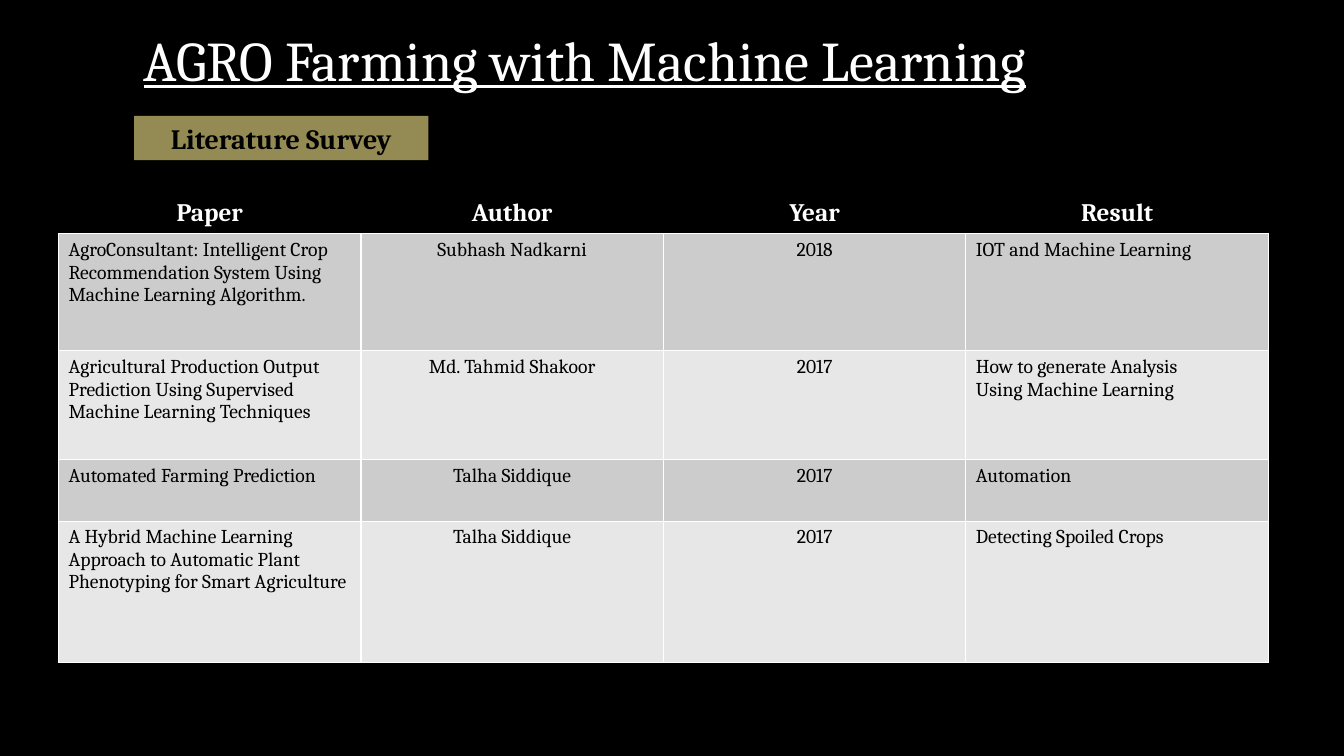
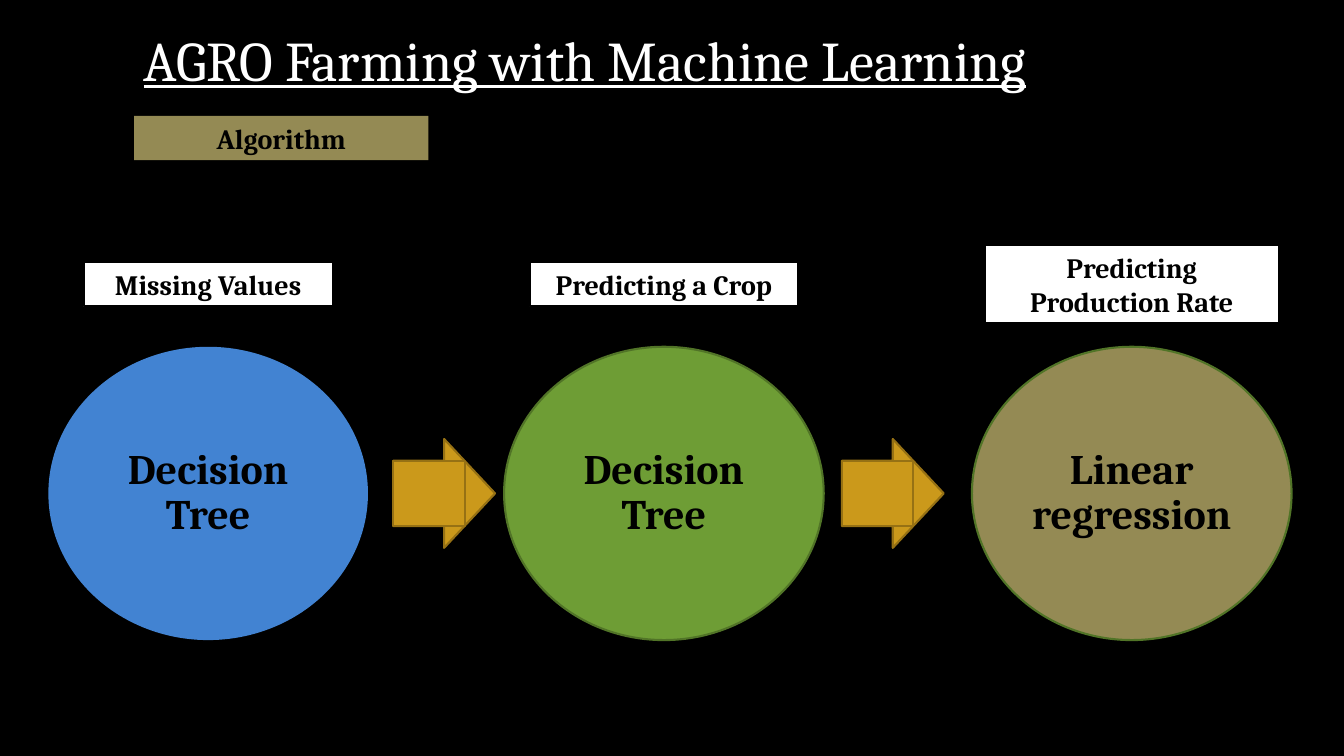
from pptx import Presentation
from pptx.dml.color import RGBColor
from pptx.enum import shapes, text
from pptx.oxml import parse_xml
from pptx.oxml.ns import nsdecls
from pptx.util import Inches, Pt

BLACK = RGBColor(0x00, 0x00, 0x00)
WHITE = RGBColor(0xFF, 0xFF, 0xFF)
KHAKI = RGBColor(0x94, 0x8A, 0x54)
BLUE = RGBColor(0x42, 0x83, 0xD2)
GREEN = RGBColor(0x6E, 0x9D, 0x35)
DARK_GREEN = RGBColor(0x51, 0x74, 0x27)
GOLD = RGBColor(0xCB, 0x99, 0x1B)
DARK_GOLD = RGBColor(0x96, 0x71, 0x14)
ROW_GREYS = RGBColor(0xCC, 0xCC, 0xCC), RGBColor(0xE7, 0xE7, 0xE7)

TITLE_FONT = dict(size=Pt(40), underline=True)
LABEL_FONT = dict(size=Pt(20), bold=True)
CIRCLE_FONT = dict(size=Pt(30), bold=True)
HEADER_FONT = dict(size=Pt(18), bold=True)
BODY_FONT = dict(size=Pt(14), bold=False)

LEFT, CENTER = text.PP_ALIGN.LEFT, text.PP_ALIGN.CENTER
RECT, OVAL = shapes.MSO_SHAPE.RECTANGLE, shapes.MSO_SHAPE.OVAL
ARROW = shapes.MSO_SHAPE.RIGHT_ARROW

DECK_TITLE = "AGRO Farming with Machine Learning"

SURVEY_HEADER = ("Paper", "Author", "Year", "Result")
SURVEY = [
    ("AgroConsultant: Intelligent Crop Recommendation System Using Machine Learning Algorithm.",
     "Subhash Nadkarni", "2018", "IOT and Machine Learning"),
    ("Agricultural Production Output Prediction Using Supervised Machine Learning Techniques",
     "Md. Tahmid Shakoor", "2017", "How to generate Analysis\nUsing Machine Learning"),
    ("Automated Farming Prediction", "Talha Siddique", "2017", "Automation"),
    ("A Hybrid Machine Learning Approach to Automatic Plant Phenotyping for Smart Agriculture",
     "Talha Siddique", "2017", "Detecting Spoiled Crops"),
]
SURVEY_ALIGN = (LEFT, CENTER, CENTER, LEFT)
SURVEY_HEIGHTS = (0.4, 1.16, 1.08, 0.61, 1.4)
COLUMN_WIDTH = 3

# circle text, circle left, fill, outline, label, label width, label height
STEPS = [
    ("Decision Tree", 0.48, BLUE, None, "Missing Values", 2.47, 0.44),
    ("Decision Tree", 5, GREEN, DARK_GREEN, "Predicting a Crop", 2.66, 0.44),
    ("Linear regression", 9.64, KHAKI, DARK_GREEN, "Predicting Production Rate", 2.92, 0.77),
]
CIRCLE_TOP, CIRCLE_WIDTH, CIRCLE_HEIGHT = 3.44, 3.17, 2.91
CIRCLE_MIDDLE = CIRCLE_TOP + CIRCLE_HEIGHT / 2
LABEL_MIDDLE = 2.82
ARROW_LEFTS = (3.9, 8.35)
ARROW_PARTS = [(ARROW, 1.01, 1.08), (RECT, 0.71, 0.65)]


def write(frame, content, font, color, align=CENTER, spacing=None):
    frame.text = content
    for paragraph in frame.paragraphs:
        paragraph.alignment = align
        paragraph.line_spacing = spacing
        paragraph.font.name = "Cambria"
        paragraph.font.color.rgb = color
        for name, value in font.items():
            setattr(paragraph.font, name, value)


def add_block(slide, kind, box, fill, outline=None):
    block = slide.shapes.add_shape(kind, *map(Inches, box))
    block.shadow.inherit = False
    block.fill.solid()
    block.fill.fore_color.rgb = fill
    if outline is None:
        block.line.fill.background()
    else:
        block.line.color.rgb = outline
        block.line.width = Pt(1.5)
    return block


def add_label(slide, content, box, fill, outline=None):
    frame = add_block(slide, RECT, box, fill, outline).text_frame
    frame.word_wrap = True
    frame.auto_size = text.MSO_AUTO_SIZE.SHAPE_TO_FIT_TEXT
    write(frame, content, LABEL_FONT, BLACK)


def add_titled_slide(prs, section):
    slide = prs.slides.add_slide(prs.slide_layouts[6])
    box = map(Inches, (1.33, 0.29, 10.5, 0.67))
    frame = slide.shapes.add_textbox(*box).text_frame
    frame.word_wrap = True
    frame.vertical_anchor = text.MSO_ANCHOR.BOTTOM
    write(frame, DECK_TITLE, TITLE_FONT, WHITE, LEFT, 0.8)
    add_label(slide, section, (1.33, 1.15, 2.92, 0.44), KHAKI)
    return slide


def set_borders(cell, visible_sides):
    """Draw white 1 pt lines on the given sides (letters of LRTB), none elsewhere."""
    white = f'<a:solidFill><a:srgbClr val="{WHITE}"/></a:solidFill>'
    properties = cell._tc.get_or_add_tcPr()
    for side in "LRTB":
        paint = white if side in visible_sides else "<a:noFill/>"
        properties.append(parse_xml(
            f'<a:ln{side} {nsdecls("a")} w="{Pt(1)}">{paint}</a:ln{side}>'))


def fill_cell(cell, content, fill, font, color, align, borders):
    set_borders(cell, borders)
    cell.fill.solid()
    cell.fill.fore_color.rgb = fill
    write(cell.text_frame, content, font, color, align)


def add_survey(slide):
    columns = len(SURVEY_HEADER)
    box = (0.58, 1.92, COLUMN_WIDTH * columns, sum(SURVEY_HEIGHTS))
    table = slide.shapes.add_table(
        len(SURVEY_HEIGHTS), columns, *map(Inches, box)).table
    for column in table.columns:
        column.width = Inches(COLUMN_WIDTH)
    for row, height in zip(table.rows, SURVEY_HEIGHTS):
        row.height = Inches(height)
    for c, heading in enumerate(SURVEY_HEADER):
        fill_cell(table.cell(0, c), heading, BLACK, HEADER_FONT, WHITE, CENTER, "B")
    for r, paper in enumerate(SURVEY, 1):
        for c, (content, align) in enumerate(zip(paper, SURVEY_ALIGN)):
            fill_cell(table.cell(r, c), content, ROW_GREYS[(r - 1) % 2],
                      BODY_FONT, BLACK, align, "LRTB")


def add_step(slide, method, left, fill, outline, task, label_width, label_height):
    box = (left, CIRCLE_TOP, CIRCLE_WIDTH, CIRCLE_HEIGHT)
    frame = add_block(slide, OVAL, box, fill, outline).text_frame
    frame.word_wrap = True
    frame.vertical_anchor = text.MSO_ANCHOR.MIDDLE
    for side in ("left", "right", "top", "bottom"):
        setattr(frame, f"margin_{side}", Inches(0.04))
    write(frame, method, CIRCLE_FONT, BLACK, spacing=0.9)
    label_left = left + (CIRCLE_WIDTH - label_width) / 2
    label_top = LABEL_MIDDLE - label_height / 2
    add_label(slide, task, (label_left, label_top, label_width, label_height),
              WHITE, BLACK)


def add_step_arrow(slide, left):
    for kind, width, height in ARROW_PARTS:
        box = (left, CIRCLE_MIDDLE - height / 2, width, height)
        part = add_block(slide, kind, box, GOLD, DARK_GOLD)
        if kind == ARROW:
            part.adjustments[0] = 0.6
            part.adjustments[1] = 0.5


def main():
    prs = Presentation()
    prs.slide_width, prs.slide_height = Inches(13.33), Inches(7.5)
    background = prs.slide_master.background.fill
    background.solid()
    background.fore_color.rgb = BLACK

    add_survey(add_titled_slide(prs, "Literature Survey"))

    algorithm = add_titled_slide(prs, "Algorithm")
    for step in STEPS:
        add_step(algorithm, *step)
    for left in ARROW_LEFTS:
        add_step_arrow(algorithm, left)

    prs.save("out.pptx")


if __name__ == "__main__":
    main()
